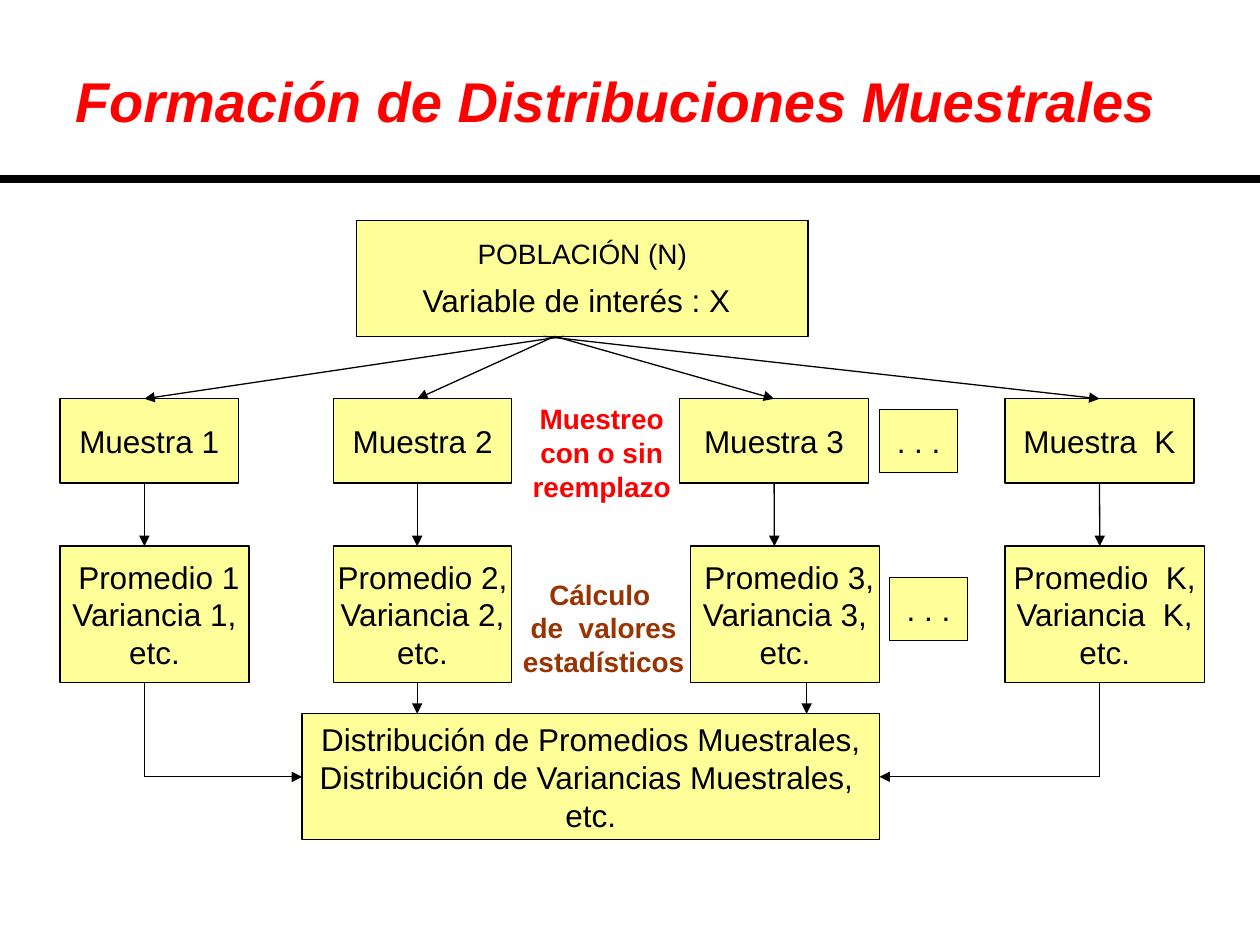
from lxml import etree
from pptx import Presentation
from pptx.dml.color import RGBColor
from pptx.enum.shapes import MSO_CONNECTOR, MSO_SHAPE
from pptx.enum.text import MSO_ANCHOR, MSO_AUTO_SIZE, PP_ALIGN
from pptx.oxml.ns import qn
from pptx.util import Cm, Pt

RECTANGLE = MSO_SHAPE.RECTANGLE
STRAIGHT = MSO_CONNECTOR.STRAIGHT
CENTER = PP_ALIGN.CENTER
MIDDLE, TOP_ANCHOR = MSO_ANCHOR.MIDDLE, MSO_ANCHOR.TOP
FIT_SHAPE = MSO_AUTO_SIZE.SHAPE_TO_FIT_TEXT

BLACK = RGBColor(0x00, 0x00, 0x00)
RED = RGBColor(0xFF, 0x00, 0x00)
BROWN = RGBColor(0x99, 0x33, 0x00)
YELLOW = RGBColor(0xFF, 0xFF, 0x99)

TOP, LEFT, BOTTOM, RIGHT = range(4)

prs = Presentation()
prs.slide_width, prs.slide_height = Cm(25.4), Cm(19.05)
slide = prs.slides.add_slide(prs.slide_layouts[5])


def write(frame, text, size=18, color=BLACK, bold=False, italic=False,
          anchor=MIDDLE, wrap=False):
    """Fill a text frame with one centred paragraph per line of text."""
    frame.word_wrap = wrap
    frame.vertical_anchor = anchor
    for number, line in enumerate(text.split("\n")):
        paragraph = frame.add_paragraph() if number else frame.paragraphs[0]
        paragraph.alignment = CENTER
        run = paragraph.add_run()
        run.text = line
        font = run.font
        font.name, font.size = "Arial", Pt(size)
        font.bold, font.italic = bold, italic
        font.color.rgb = color


def connect(x1, y1, x2, y2, width=0.75, arrow=True, begin=None, end=None):
    """Draw a line in cm; begin and end are (shape, side) joints."""
    line = slide.shapes.add_connector(STRAIGHT, Cm(x1), Cm(y1), Cm(x2), Cm(y2))
    if begin:
        line.begin_connect(*begin)
    if end:
        line.end_connect(*end)
    line.line.color.rgb = BLACK
    line.line.width = Pt(width)
    if arrow:
        etree.SubElement(line.line._get_or_add_ln(), qn("a:tailEnd"), type="triangle")
    etree.SubElement(line._element.spPr, qn("a:effectLst"))


# Title and rule
title = slide.shapes.title
title.left, title.top, title.width, title.height = Cm(0.69), Cm(0.43), Cm(23.44), Cm(3.18)
write(title.text_frame, "Formación de Distribuciones Muestrales",
      size=32, color=RED, bold=True, italic=True, wrap=True)
connect(0, 3.6, 25.4, 3.6, width=4.5, arrow=False)

# Levels of the diagram
POPULATION_Y, POPULATION_H = 4.45, 2.33
SAMPLE_Y, SAMPLE_H = 8.04, 1.7
STATS_Y, STATS_H = 11.01, 2.75
RESULT_X, RESULT_Y, RESULT_W, RESULT_H = 6.09, 14.39, 11.64, 2.54
POPULATION_END = POPULATION_Y + POPULATION_H
SAMPLE_END = SAMPLE_Y + SAMPLE_H
STATS_END = STATS_Y + STATS_H
RESULT_MIDDLE = RESULT_Y + RESULT_H / 2
AXES = [2.91, 8.41, 15.61, 22.17]

# Boxes: text, left, top, width, height
boxes = {}
for name, text, x, y, w, h in [
    ("population", "POBLACIÓN (N)", 7.19, POPULATION_Y, 9.1, POPULATION_H),
    ("sample 1", "Muestra 1", 1.21, SAMPLE_Y, 3.6, SAMPLE_H),
    ("sample 2", "Muestra 2", 6.72, SAMPLE_Y, 3.6, SAMPLE_H),
    ("sample 3", "Muestra 3", 13.7, SAMPLE_Y, 3.81, SAMPLE_H),
    ("sample dots", ". . .", 17.73, 8.25, 1.58, 1.27),
    ("sample K", "Muestra  K", 20.26, SAMPLE_Y, 3.81, SAMPLE_H),
    ("stats 1", " Promedio 1\nVariancia 1,\netc.", 1.21, STATS_Y, 3.81, STATS_H),
    ("stats 2", "Promedio 2,\nVariancia 2,\netc.", 6.72, STATS_Y, 3.6, STATS_H),
    ("stats 3", " Promedio 3,\nVariancia 3,\netc.", 13.92, STATS_Y, 3.81, STATS_H),
    ("stats K", "Promedio  K,\nVariancia  K,\netc.", 20.26, STATS_Y, 4.02, STATS_H),
    ("stats dots", ". . .", 17.93, 11.64, 1.58, 1.27),
    ("result", "Distribución de Promedios Muestrales,\n"
     "Distribución de Variancias Muestrales, \netc.",
     RESULT_X, RESULT_Y, RESULT_W, RESULT_H),
]:
    box = slide.shapes.add_shape(RECTANGLE, Cm(x), Cm(y), Cm(w), Cm(h))
    box.shadow.inherit = False
    box.fill.solid()
    box.fill.fore_color.rgb = YELLOW
    box.line.color.rgb = BLACK
    box.line.width = Pt(0.75)
    write(box.text_frame, text, size=16 if name == "population" else 18)
    boxes[name] = box

# Second line of the population box, with its larger closing space
variable = boxes["population"].text_frame.add_paragraph()
variable.alignment = CENTER
for text, size in [("Variable de interés : X", 18), (" ", 24)]:
    run = variable.add_run()
    run.text = text
    run.font.name, run.font.size = "Arial", Pt(size)
    run.font.color.rgb = BLACK

# Population to samples, samples to statistics
for axis, origin, name in zip(AXES, [11.37, 11.18, 11.18, 10.96],
                              [None, None, "sample 3", "sample K"]):
    sample = boxes.get(name)
    connect(origin, POPULATION_END, axis, SAMPLE_Y, end=sample and (sample, TOP))
    connect(axis, SAMPLE_END, axis, STATS_Y, begin=sample and (sample, BOTTOM))

# Statistics to sampling distributions
for x in (AXES[1], 16.26):
    connect(x, STATS_END, x, RESULT_Y)
for axis, edge, side in [(AXES[0], RESULT_X, LEFT),
                         (AXES[3], RESULT_X + RESULT_W, RIGHT)]:
    connect(axis, STATS_END, axis, RESULT_MIDDLE, arrow=False)
    connect(axis, RESULT_MIDDLE, edge, RESULT_MIDDLE, end=(boxes["result"], side))

# Step captions
for text, color, x, y, w in [
    ("Muestreo\ncon o sin\nreemplazo", RED, 10.38, 7.98, 3.5),
    ("Cálculo \nde  valores\nestadísticos", BROWN, 10.24, 11.51, 3.86),
]:
    caption = slide.shapes.add_textbox(Cm(x), Cm(y), Cm(w), Cm(2.29))
    write(caption.text_frame, text, size=16, color=color, bold=True, anchor=TOP_ANCHOR)
    caption.text_frame.auto_size = FIT_SHAPE

prs.save("out.pptx")
